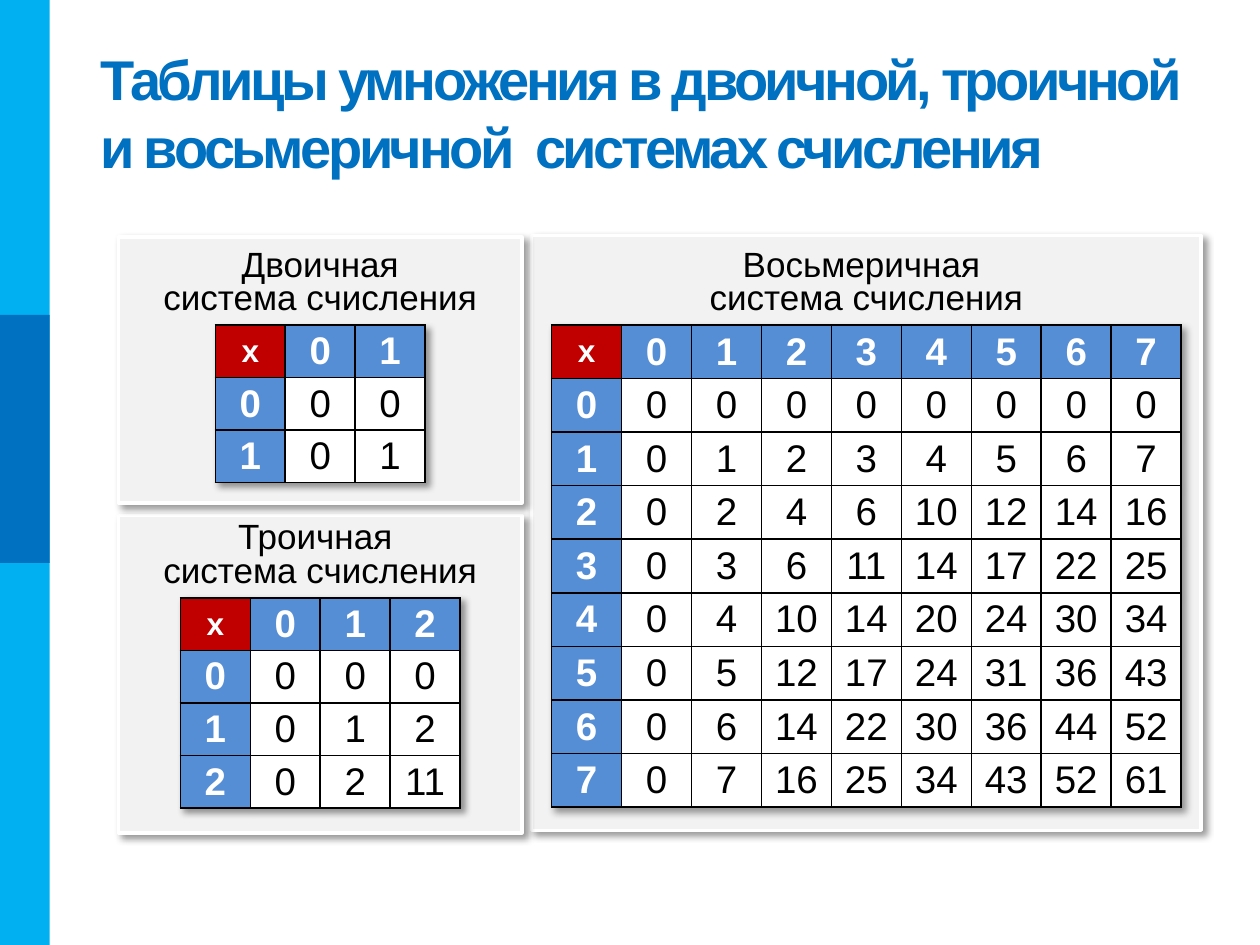
from lxml import etree
from pptx import Presentation
from pptx.dml.color import RGBColor
from pptx.enum.shapes import MSO_SHAPE as Shape
from pptx.enum.text import MSO_ANCHOR as Anchor, MSO_AUTO_SIZE as AutoSize, PP_ALIGN as Align
from pptx.oxml.ns import qn
from pptx.util import Cm, Pt

FONT = "Arial"
COLORS = {
    "side": "00B0F0", "accent": "0070C0", "panel": "F2F2F2", "white": "FFFFFF",
    "black": "000000", "corner": "C00000", "header": "558ED5",
}
TITLE = "Таблицы умножения в двоичной, троичной и восьмеричной  системах счисления"

# Lengths in centimetres; panel is left, top, width, height
SYSTEMS = [
    {"base": 8, "caption": "Восьмеричная \vсистема счисления",
     "panel": (10.72, 4.75, 13.49, 11.99), "table_top": 6.55, "row": 1.08},
    {"base": 3, "caption": "Троичная \vсистема счисления",
     "panel": (2.39, 10.39, 8.13, 6.4), "table_top": 12.05, "row": 1.06},
    {"base": 2, "caption": "Двоичная\vсистема счисления",
     "panel": (2.39, 4.78, 8.13, 5.36), "table_top": 6.55, "row": 1.06},
]
SIDE_BARS = [("side", 0, 19.05), ("accent", 6.35, 5)]
BAR_WIDTH = 1
COLUMN = 1.41
CAPTION_HEIGHT = 1.63
CAPTION_MARGIN = 0.09


def rgb(name):
    return RGBColor.from_string(COLORS[name])


def style_runs(paragraph, size, color, bold=False):
    for run in paragraph.runs:
        run.font.name = FONT
        run.font.size = Pt(size)
        run.font.bold = bold
        run.font.color.rgb = rgb(color)


def add_color(parent, name):
    return etree.SubElement(parent, qn("a:srgbClr"), val=COLORS[name])


def shadow_effect():
    effects = etree.Element(qn("a:effectLst"))
    shadow = etree.SubElement(
        effects, qn("a:outerShdw"), blurRad=str(Pt(4)), dist=str(Pt(3)),
        dir=str(45 * 60000), algn="tl", rotWithShape="0")
    etree.SubElement(add_color(shadow, "black"), qn("a:alpha"), val="40000")
    return effects


def add_rectangle(slide, left, top, width, height, color):
    shape = slide.shapes.add_shape(
        Shape.RECTANGLE, Cm(left), Cm(top), Cm(width), Cm(height))
    shape.shadow.inherit = False
    shape.fill.solid()
    shape.fill.fore_color.rgb = rgb(color)
    shape.line.fill.background()
    return shape


def add_panel(slide, bounds):
    panel = add_rectangle(slide, *bounds, "panel")
    panel.line.color.rgb = rgb("white")
    panel.line.width = Pt(2)
    properties = panel._element.spPr
    properties.replace(properties.find(qn("a:effectLst")), shadow_effect())


def in_base(number, base):
    high, low = divmod(number, base)
    return f"{high}{low}" if high else str(low)


def multiplication_rows(base):
    digits = range(base)
    yield ["х", *map(str, digits)]
    for a in digits:
        yield [str(a), *(in_base(a * b, base) for b in digits)]


def add_borders(cell):
    properties = cell._tc.get_or_add_tcPr()
    for index, side in enumerate(("lnL", "lnR", "lnT", "lnB")):
        line = etree.Element(qn(f"a:{side}"), w=str(Pt(1)))
        add_color(etree.SubElement(line, qn("a:solidFill")), "black")
        properties.insert(index, line)


def fill_cell(cell, text, row, column):
    header = row == 0 or column == 0
    corner = row == 0 and column == 0
    cell.text_frame.text = text
    cell.vertical_anchor = Anchor.MIDDLE
    cell.margin_left = cell.margin_right = cell.margin_top = cell.margin_bottom = 0
    cell.fill.solid()
    cell.fill.fore_color.rgb = rgb("corner" if corner else "header" if header else "white")
    paragraph = cell.text_frame.paragraphs[0]
    paragraph.alignment = Align.CENTER
    style_runs(paragraph, 18 if corner else 22, "white" if header else "black", header)
    add_borders(cell)


def add_multiplication_table(slide, system):
    left, _, width, _ = system["panel"]
    count = system["base"] + 1
    table_width = COLUMN * count
    table = slide.shapes.add_table(
        count, count, Cm(left + (width - table_width) / 2), Cm(system["table_top"]),
        Cm(table_width), Cm(system["row"] * count)).table
    table.first_row = table.horz_banding = False
    table._tbl.tblPr.insert(0, shadow_effect())
    for column in table.columns:
        column.width = Cm(COLUMN)
    for row, texts in enumerate(multiplication_rows(system["base"])):
        table.rows[row].height = Cm(system["row"])
        for column, text in enumerate(texts):
            fill_cell(table.cell(row, column), text, row, column)


def add_caption(slide, system):
    left, _, width, _ = system["panel"]
    box = slide.shapes.add_textbox(
        Cm(left + CAPTION_MARGIN), Cm(system["table_top"] - CAPTION_HEIGHT),
        Cm(width - 2 * CAPTION_MARGIN), Cm(CAPTION_HEIGHT))
    frame = box.text_frame
    frame.word_wrap = True
    frame.auto_size = AutoSize.SHAPE_TO_FIT_TEXT
    frame.text = system["caption"]
    paragraph = frame.paragraphs[0]
    paragraph.alignment = Align.CENTER
    paragraph.line_spacing = 0.8
    style_runs(paragraph, 20, "black")


def format_title(title):
    title.left, title.top, title.width, title.height = Cm(1.78), Cm(0.76), Cm(22.91), Cm(3)
    frame = title.text_frame
    frame.text = TITLE
    frame.word_wrap = True
    frame.auto_size = AutoSize.NONE
    frame.vertical_anchor = Anchor.MIDDLE
    paragraph = frame.paragraphs[0]
    paragraph.alignment = Align.LEFT
    style_runs(paragraph, 32, "accent", True)
    # Tight letter spacing, in hundredths of a point
    paragraph.runs[0].font._element.set("spc", "-200")


def main():
    presentation = Presentation()
    presentation.slide_width, presentation.slide_height = Cm(25.4), Cm(19.05)
    slide = presentation.slides.add_slide(presentation.slide_layouts[5])
    format_title(slide.shapes.title)

    # Side stripe
    for color, top, height in SIDE_BARS:
        add_rectangle(slide, 0, top, BAR_WIDTH, height, color)

    # Panels, then the tables and captions on them
    for system in SYSTEMS:
        add_panel(slide, system["panel"])
    for system in SYSTEMS:
        add_multiplication_table(slide, system)
        add_caption(slide, system)

    presentation.save("out.pptx")


if __name__ == "__main__":
    main()
